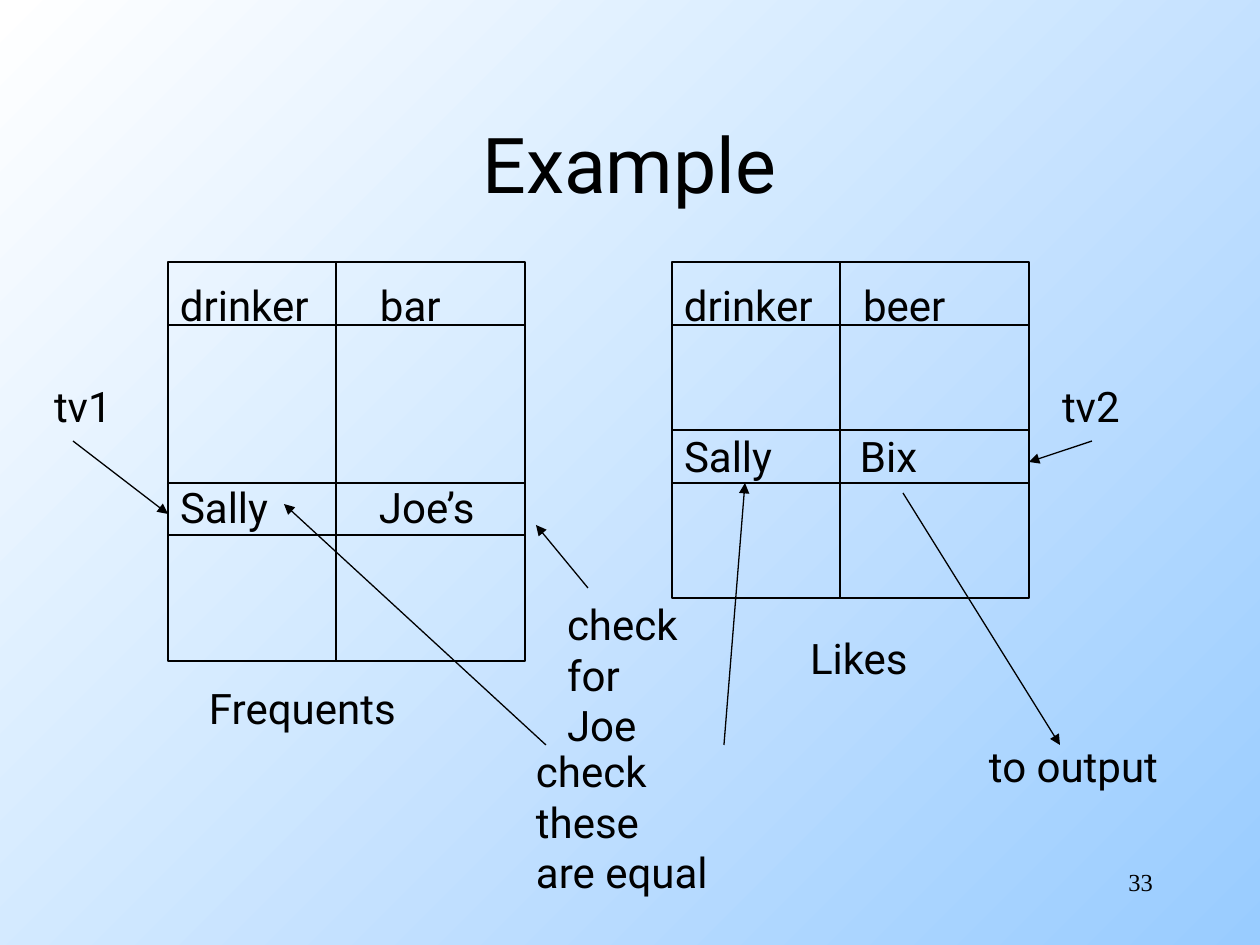
from dataclasses import dataclass

from lxml import etree
from pptx import Presentation
from pptx.dml.color import RGBColor
from pptx.enum.shapes import MSO_CONNECTOR, MSO_SHAPE
from pptx.enum.text import MSO_ANCHOR, PP_ALIGN
from pptx.oxml.ns import qn
from pptx.util import Emu, Pt

STRAIGHT = MSO_CONNECTOR.STRAIGHT
RECTANGLE = MSO_SHAPE.RECTANGLE
TOP, MIDDLE = MSO_ANCHOR.TOP, MSO_ANCHOR.MIDDLE
LEFT, CENTER, RIGHT = PP_ALIGN.LEFT, PP_ALIGN.CENTER, PP_ALIGN.RIGHT

BLACK = RGBColor(0x00, 0x00, 0x00)
WHITE = RGBColor(0xFF, 0xFF, 0xFF)
SKY = RGBColor(0x99, 0xCC, 0xFF)

PX_PER_INCH = 126
FIRST_ROW_TOP = 280
ROW_PITCH = 50.4


@dataclass(frozen=True)
class Relation:
    left: int
    top: int
    width: int
    height: int
    column_split: int
    row_splits: tuple[int, ...]


@dataclass(frozen=True)
class Label:
    lines: str
    left: int
    top: int
    width: int
    height: int = 50
    size: int = 24
    font: str = "Roboto"
    align: PP_ALIGN = LEFT
    anchor: MSO_ANCHOR = TOP


@dataclass(frozen=True)
class Arrow:
    start: tuple[int, int]
    end: tuple[int, int]


def px(value: int) -> Emu:
    return Emu(round(value * 914400 / PX_PER_INCH))


def row_top(row: int) -> int:
    return FIRST_ROW_TOP + round(row * ROW_PITCH)


RELATIONS = (
    Relation(168, 262, 357, 399, 336, (325, 483, 535)),
    Relation(672, 262, 357, 336, 840, (325, 430, 483)),
)

LABELS = (
    Label("Example", 94, 84, 1071, 158, size=44, align=CENTER, anchor=MIDDLE),
    # Column names
    Label("drinker", 180, row_top(0), 140),
    Label("bar", 380, row_top(0), 90),
    Label("drinker", 684, row_top(0), 140),
    Label("beer", 863, row_top(0), 110),
    # Tuple variables and their rows
    Label("tv1", 54, row_top(2), 80),
    Label("tv2", 1062, row_top(2), 80),
    Label("Sally", 684, row_top(3), 110),
    Label("Bix", 860, row_top(3), 100),
    Label("Sally", 180, row_top(4), 110),
    Label("Joe’s", 379, row_top(4), 120),
    # Relation names
    Label("Likes", 810, row_top(7), 120),
    Label("Frequents", 209, row_top(8), 210),
    # Remarks
    Label("to output", 989, 741, 190),
    Label("check these\nare equal", 536, 746, 200, 152),
    Label("check\nfor Joe", 567, 599, 120, 152),
    # Page number
    Label("33", 903, 867, 250, 50, 14, "Times New Roman", RIGHT),
)

ARROWS = (
    Arrow((73, 441), (168, 514)),
    Arrow((1092, 441), (1029, 462)),
    Arrow((903, 493), (1060, 745)),
    Arrow((546, 745), (284, 504)),
    Arrow((724, 745), (745, 483)),
    Arrow((588, 588), (536, 525)),
)


def add_line(slide, start: tuple[int, int], end: tuple[int, int]):
    line = slide.shapes.add_connector(STRAIGHT, *map(px, start + end))
    line.line.color.rgb = BLACK
    line.line.width = Pt(0.75)
    etree.SubElement(line._element.spPr, qn("a:effectLst"))
    return line


def add_arrow(slide, arrow: Arrow) -> None:
    line = add_line(slide, arrow.start, arrow.end)
    etree.SubElement(line.line._get_or_add_ln(), qn("a:tailEnd"), type="triangle")


def add_relation(slide, relation: Relation) -> None:
    left, top = relation.left, relation.top
    frame = slide.shapes.add_shape(
        RECTANGLE, px(left), px(top), px(relation.width), px(relation.height)
    )
    frame.shadow.inherit = False
    frame.fill.background()
    frame.line.color.rgb = BLACK
    frame.line.width = Pt(0.75)
    for y in relation.row_splits:
        add_line(slide, (left, y), (left + relation.width, y))
    x = relation.column_split
    add_line(slide, (x, top), (x, top + relation.height))


def add_label(slide, label: Label) -> None:
    box = slide.shapes.add_textbox(
        px(label.left), px(label.top), px(label.width), px(label.height)
    )
    frame = box.text_frame
    frame.margin_left = frame.margin_right = 0
    frame.margin_top = frame.margin_bottom = 0
    frame.word_wrap = True
    frame.vertical_anchor = label.anchor
    frame.text = label.lines
    for para in frame.paragraphs:
        para.alignment = label.align
        for span in para.runs:
            span.font.size = Pt(label.size)
            span.font.name = label.font
            span.font.color.rgb = BLACK


def paint_background(slide) -> None:
    fill = slide.background.fill
    fill.gradient()
    fill.gradient_angle = 315  # white top left to blue bottom right
    for stop, color, position in zip(fill.gradient_stops, (WHITE, SKY), (0, 1)):
        stop.color.rgb = color
        stop.position = position


def main() -> None:
    deck = Presentation()
    deck.slide_width, deck.slide_height = px(1260), px(945)
    slide = deck.slides.add_slide(deck.slide_layouts[6])
    paint_background(slide)
    for relation in RELATIONS:
        add_relation(slide, relation)
    for label in LABELS:
        add_label(slide, label)
    for arrow in ARROWS:
        add_arrow(slide, arrow)
    deck.save("out.pptx")


if __name__ == "__main__":
    main()
